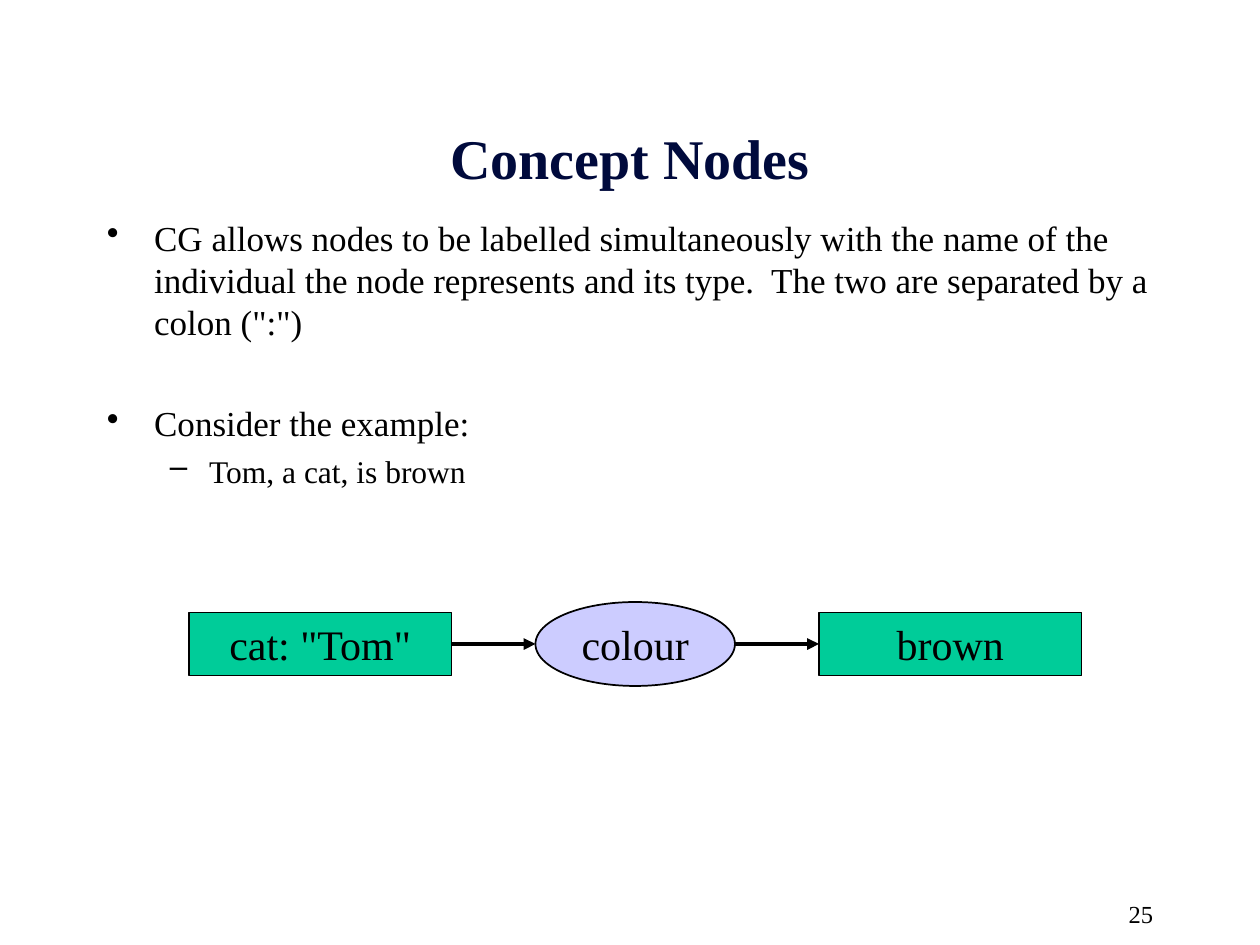
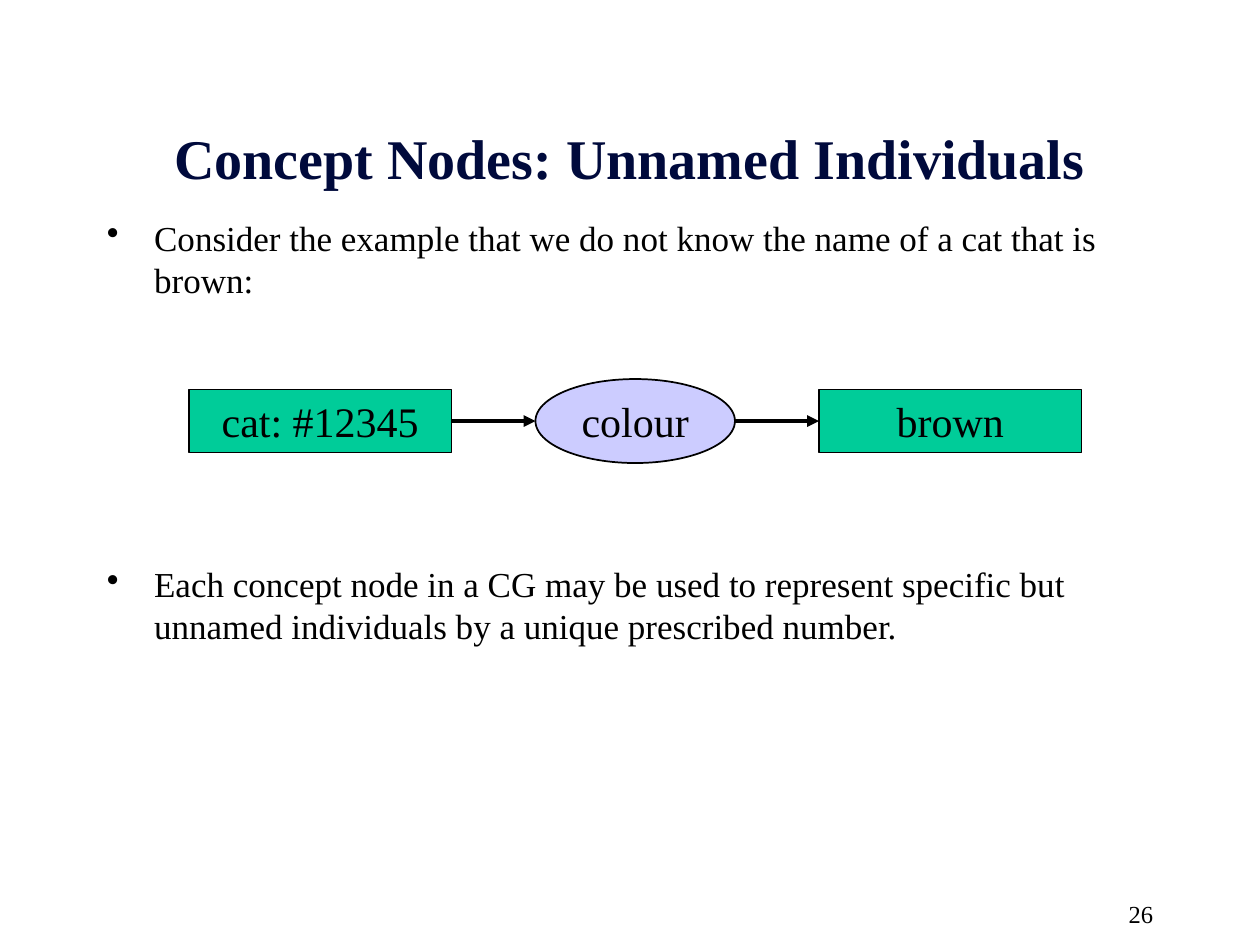
from lxml.etree import SubElement
from pptx import Presentation
from pptx.dml.color import RGBColor
from pptx.enum.shapes import MSO_CONNECTOR, MSO_SHAPE
from pptx.enum.text import MSO_ANCHOR, MSO_AUTO_SIZE, PP_ALIGN
from pptx.oxml.ns import qn
from pptx.util import Pt

BLACK, NAVY, GREEN, LILAC = "000000", "000A3C", "00CC99", "CCCCFF"
FONT = "Times New Roman"
TITLE_BOX = (54, 60, 612, 60)
BODY_BOX = (54, 120, 612, 384)
NUMBER_BOX = (516, 510, 150, 18)
GRAPH_LEFT, NODE_GAP = 108, 48
CONCEPT = dict(kind=MSO_SHAPE.RECTANGLE, color=GREEN, width=150, height=36)
RELATION = dict(kind=MSO_SHAPE.OVAL, color=LILAC, width=114, height=48)
LEVELS = [
    dict(mark="•", size=20, line=24, margin=27, hang=27),
    dict(mark="–", size=18, line=21.6, margin=58.5, hang=22.5),
]

# Each body item: level, space before in points, text
PAGES = [
    dict(
        number=25,
        title="Concept Nodes",
        items=[
            (0, 0, "CG allows nodes to be labelled simultaneously with the name of the "
                   "individual the node represents and its type.  The two are separated "
                   "by a colon (\":\")"),
            (0, 34, "Consider the example:"),
            (1, 4.5, "Tom, a cat, is brown"),
        ],
        nodes=['cat: "Tom"', "colour", "brown"],
        graph_middle=368,
    ),
    dict(
        number=26,
        title="Concept Nodes: Unnamed Individuals",
        items=[
            (0, 0, "Consider the example that we do not know the name of a cat that is brown:"),
            (0, 150, "Each concept node in a CG may be used to represent specific but "
                     "unnamed individuals by a unique prescribed number."),
        ],
        nodes=["cat: #12345", "colour", "brown"],
        graph_middle=240.6,
    ),
]


def rgb(color):
    return RGBColor.from_string(color)


def points(values):
    return [Pt(value) for value in values]


def set_values(target, values):
    for name, value in values.items():
        setattr(target, name, value)


def write(para, text, size, color=BLACK, bold=False, align=PP_ALIGN.LEFT):
    para.alignment = align
    span = para.add_run()
    span.text = text
    set_values(span.font, dict(name=FONT, size=Pt(size), bold=bold))
    span.font.color.rgb = rgb(color)


def add_bullet(para, mark, margin, hang):
    properties = para._p.get_or_add_pPr()
    properties.set("marL", str(Pt(margin)))
    properties.set("indent", str(-Pt(hang)))
    color = SubElement(properties, qn("a:buClr"))
    SubElement(color, qn("a:srgbClr"), val=BLACK)
    SubElement(properties, qn("a:buChar"), char=mark)


def add_title(page, text, box):
    title = page.shapes.title
    set_values(title, dict(zip(("left", "top", "width", "height"), points(box))))
    set_values(title.text_frame, dict(
        word_wrap=True, auto_size=MSO_AUTO_SIZE.NONE, vertical_anchor=MSO_ANCHOR.MIDDLE))
    write(title.text_frame.paragraphs[0], text, 32, NAVY, True, PP_ALIGN.CENTER)


def add_body(page, items, box):
    frame = page.shapes.add_textbox(*points(box)).text_frame
    frame.word_wrap = True
    for index, (depth, gap, text) in enumerate(items):
        level = LEVELS[depth]
        para = frame.add_paragraph() if index else frame.paragraphs[0]
        set_values(para, dict(
            level=depth, space_before=Pt(gap), line_spacing=Pt(level["line"])))
        add_bullet(para, level["mark"], level["margin"], level["hang"])
        write(para, text, level["size"])


def add_number(page, number, box):
    frame = page.shapes.add_textbox(*points(box)).text_frame
    frame.word_wrap = True
    write(frame.paragraphs[0], str(number), 14, align=PP_ALIGN.RIGHT)


def add_node(page, text, left, middle, kind, color, width, height):
    node = page.shapes.add_shape(
        kind, *points((left, middle - height / 2, width, height)))
    node.shadow.inherit = False
    node.fill.solid()
    node.fill.fore_color.rgb = rgb(color)
    node.line.color.rgb = rgb(BLACK)
    node.line.width = Pt(1)
    set_values(node.text_frame, dict(word_wrap=False, vertical_anchor=MSO_ANCHOR.MIDDLE))
    write(node.text_frame.paragraphs[0], text, 24, align=PP_ALIGN.CENTER)
    return node


def add_arrow(page, start, end, middle):
    arrow = page.shapes.add_connector(
        MSO_CONNECTOR.STRAIGHT, start, Pt(middle), end, Pt(middle))
    arrow.line.color.rgb = rgb(BLACK)
    arrow.line.width = Pt(2.25)
    SubElement(arrow.line._get_or_add_ln(), qn("a:tailEnd"), type="triangle")
    SubElement(arrow._element.spPr, qn("a:effectLst"))
    return arrow


def add_graph(page, texts, left, middle):
    """Draw concept -> relation -> concept along one horizontal line."""
    nodes = []
    for text, style in zip(texts, (CONCEPT, RELATION, CONCEPT)):
        nodes.append(add_node(page, text, left, middle, **style))
        left += style["width"] + NODE_GAP
    source, relation, target = nodes
    outgoing = add_arrow(page, source.left + source.width, relation.left, middle)
    outgoing.begin_connect(source, 3)
    incoming = add_arrow(page, relation.left + relation.width, target.left, middle)
    incoming.end_connect(target, 1)


def add_page(deck, content):
    page = deck.slides.add_slide(deck.slide_layouts.get_by_name("Title Only"))
    add_number(page, content["number"], NUMBER_BOX)
    add_title(page, content["title"], TITLE_BOX)
    add_body(page, content["items"], BODY_BOX)
    add_graph(page, content["nodes"], GRAPH_LEFT, content["graph_middle"])


def main():
    deck = Presentation()
    deck.slide_width, deck.slide_height = Pt(720), Pt(540)
    for content in PAGES:
        add_page(deck, content)
    deck.save("out.pptx")


if __name__ == "__main__":
    main()
